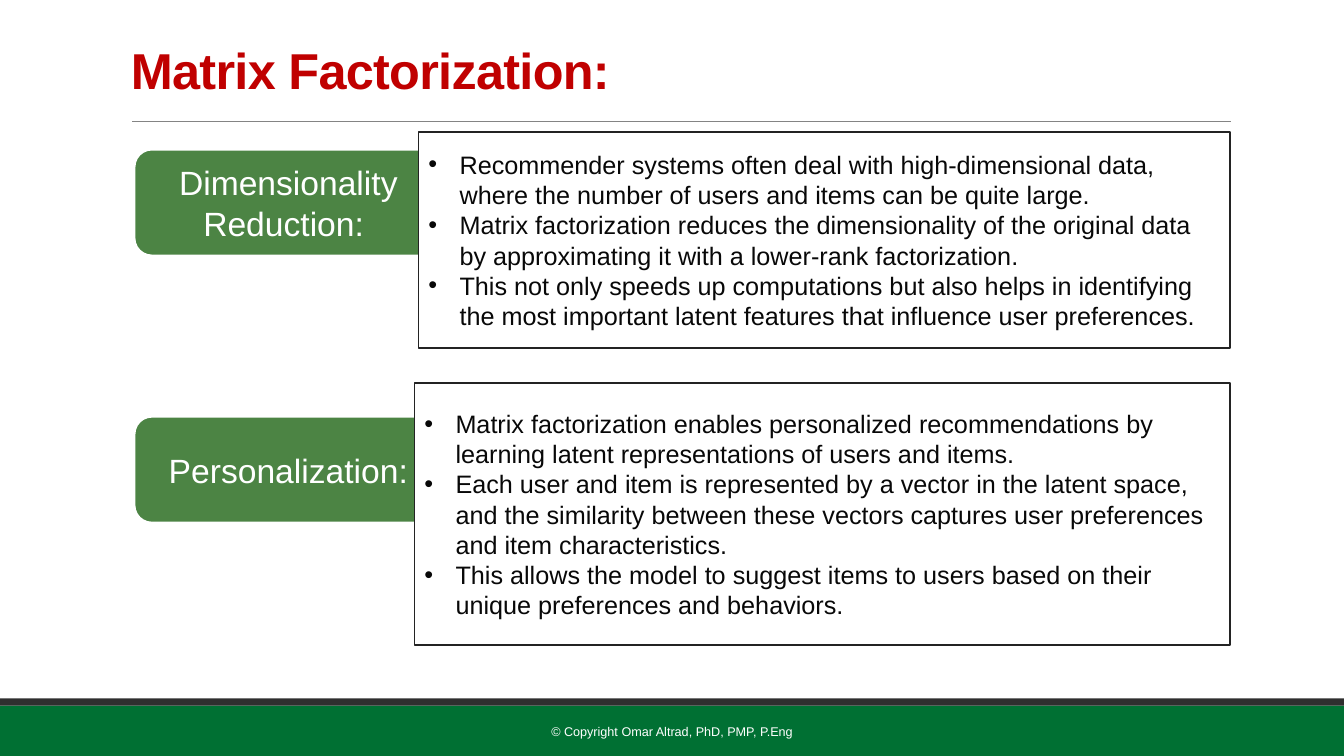
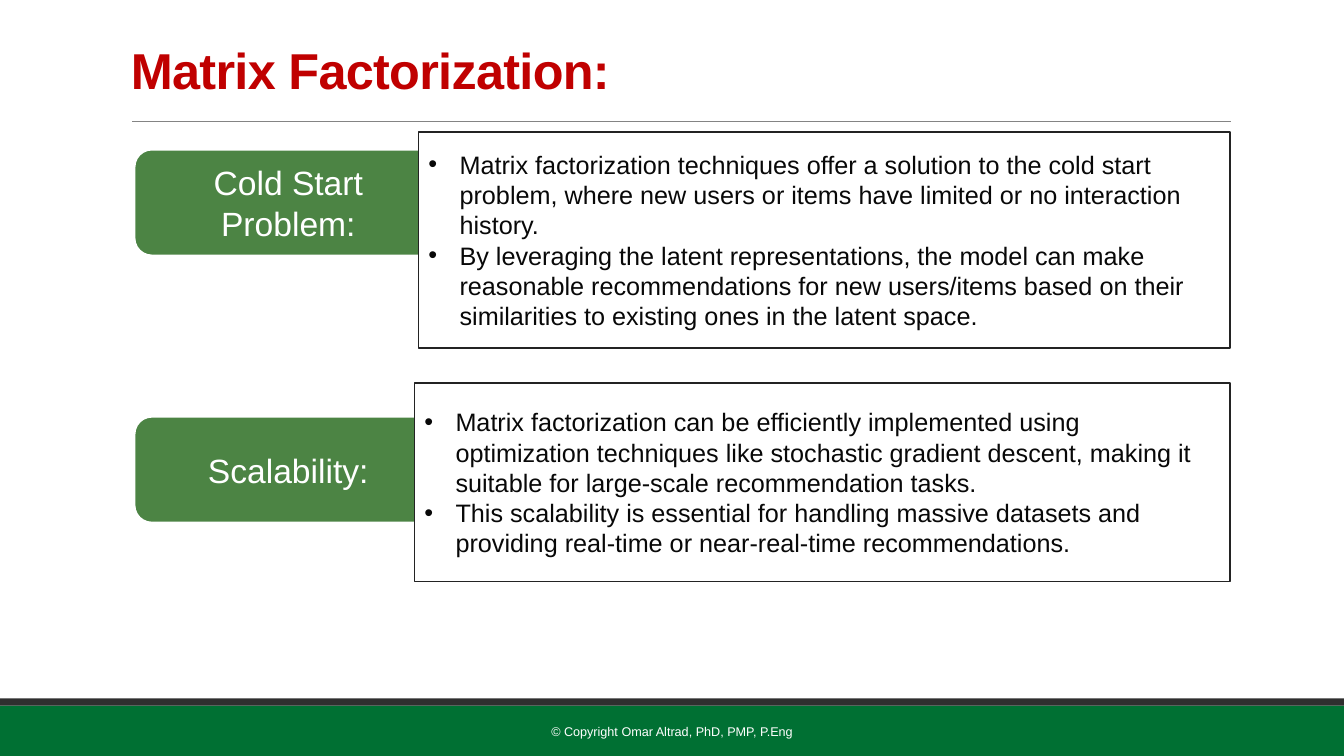
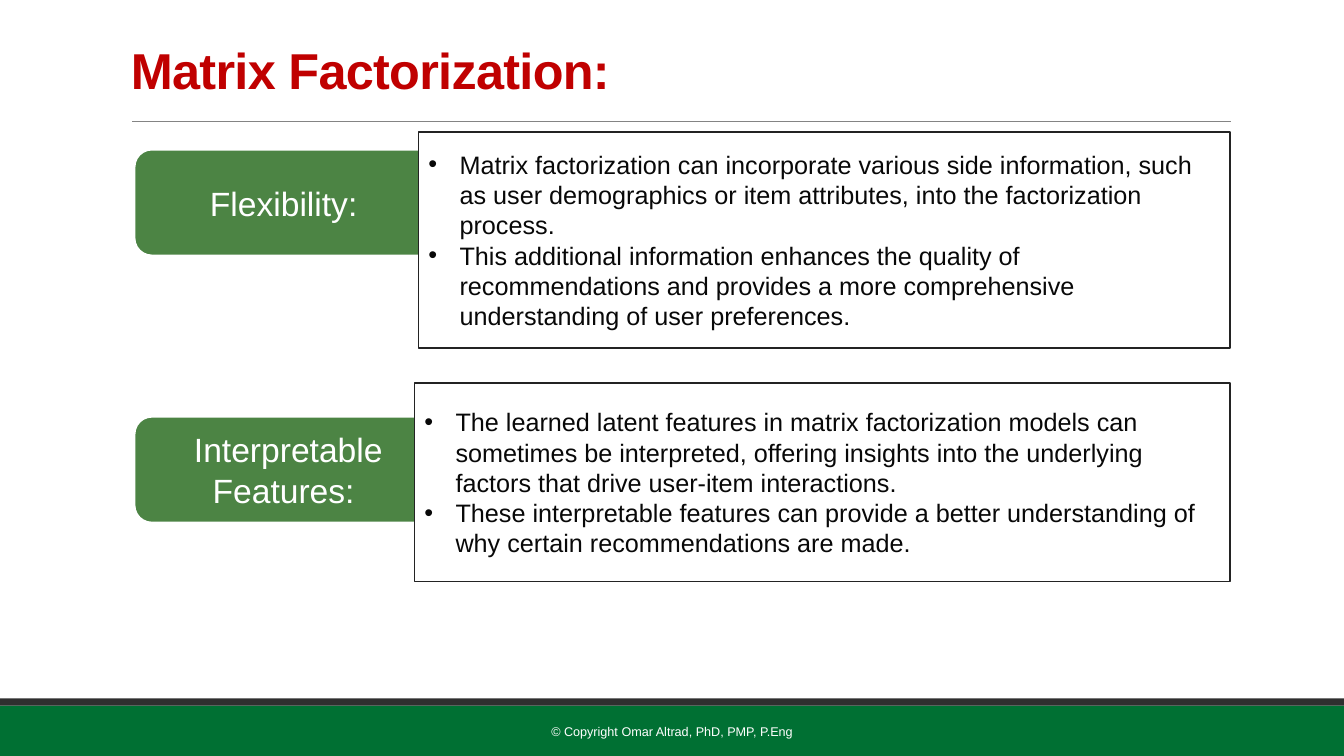
from dataclasses import dataclass

from lxml.etree import SubElement
from pptx import Presentation
from pptx.dml.color import RGBColor
from pptx.enum.shapes import MSO_CONNECTOR, MSO_SHAPE as Shp
from pptx.enum.text import MSO_ANCHOR, PP_ALIGN as Al
from pptx.oxml.ns import qn
from pptx.shapes.autoshape import Shape
from pptx.slide import Slide
from pptx.util import Inches, Pt

WHITE = RGBColor(0xFF, 0xFF, 0xFF)
RED = RGBColor(0xC0, 0x00, 0x00)
GREEN = RGBColor(0x00, 0x70, 0x33)
LABEL_GREEN = RGBColor(0x4C, 0x84, 0x44)
DARK = RGBColor(0x2F, 0x2F, 0x2F)
GREY = RGBColor(0x84, 0x84, 0x84)
BORDER = RGBColor(0x23, 0x23, 0x23)
INK = RGBColor(0x08, 0x08, 0x08)

FONT = "Arial"
TITLE = "Matrix Factorization:"
FOOTER = "© Copyright Omar Altrad, PhD, PMP, P.Eng"
SLIDE_W, SLIDE_H = 13.33, 7.5
RIGHT = 12.2
LABEL_X, LABEL_W, LABEL_H = 1.33, 3.06, 1.06
BULLET_INDENT = 0.31


@dataclass(frozen=True)
class Slot:
    """Place of one topic: its label top and its panel's left and top."""
    label_y: float
    panel_x: float
    panel_y: float


@dataclass(frozen=True)
class Topic:
    label: str
    points: tuple[str, ...]
    panel_h: float


SLOTS = (Slot(1.48, 4.15, 1.31), Slot(4.13, 4.11, 3.8))

SLIDES = (
    (
        Topic("Dimensionality Reduction: ", (
            "Recommender systems often deal with high-dimensional data, where the "
            "number of users and items can be quite large.",
            "Matrix factorization reduces the dimensionality of the original data by "
            "approximating it with a lower-rank factorization.",
            "This not only speeds up computations but also helps in identifying the "
            "most important latent features that influence user preferences.",
        ), 2.14),
        Topic("Personalization:", (
            "Matrix factorization enables personalized recommendations by learning "
            "latent representations of users and items.",
            "Each user and item is represented by a vector in the latent space, and "
            "the similarity between these vectors captures user preferences and item "
            "characteristics.",
            "This allows the model to suggest items to users based on their unique "
            "preferences and behaviors.",
        ), 2.6),
    ),
    (
        Topic("Cold Start Problem:", (
            "Matrix factorization techniques offer a solution to the cold start "
            "problem, where new users or items have limited or no interaction history.",
            "By leveraging the latent representations, the model can make reasonable "
            "recommendations for new users/items based on their similarities to "
            "existing ones in the latent space.",
        ), 2.14),
        Topic("Scalability:", (
            "Matrix factorization can be efficiently implemented using optimization "
            "techniques like stochastic gradient descent, making it suitable for "
            "large-scale recommendation tasks.",
            "This scalability is essential for handling massive datasets and "
            "providing real-time or near-real-time recommendations.",
        ), 1.97),
    ),
    (
        Topic("Flexibility: ", (
            "Matrix factorization can incorporate various side information, such as "
            "user demographics or item attributes, into the factorization process.",
            "This additional information enhances the quality of recommendations and "
            "provides a more comprehensive understanding of user preferences.",
        ), 2.14),
        Topic("Interpretable Features: ", (
            "The learned latent features in matrix factorization models can sometimes "
            "be interpreted, offering insights into the underlying factors that drive "
            "user-item interactions.",
            "These interpretable features can provide a better understanding of why "
            "certain recommendations are made.",
        ), 1.97),
    ),
)


def write(sp: Shape, *lines: str, size: float, color: RGBColor, bold: bool = False,
          align: Al = Al.LEFT, bullets: bool = False, line_spacing: float = 1.0,
          tracking: float = 0) -> None:
    """Fill a shape with one paragraph per line; tracking is in points."""
    tf = sp.text_frame
    tf.word_wrap = True
    tf.vertical_anchor = MSO_ANCHOR.MIDDLE
    for i, line in enumerate(lines):
        p = tf.add_paragraph() if i else tf.paragraphs[0]
        p.alignment = align
        p.line_spacing = line_spacing
        if bullets:
            pPr = p._p.get_or_add_pPr()
            pPr.set("marL", str(Inches(BULLET_INDENT)))
            pPr.set("indent", str(-Inches(BULLET_INDENT)))
            SubElement(pPr, qn("a:buFont"), typeface=FONT)
            SubElement(pPr, qn("a:buChar"), char="•")
        r = p.add_run()
        r.text = line
        r.font.name = FONT
        r.font.size = Pt(size)
        r.font.bold = bold
        r.font.color.rgb = color
        if tracking:
            r._r.get_or_add_rPr().set("spc", str(round(tracking * 100)))


def add_box(s: Slide, kind: Shp, x: float, y: float, w: float, h: float, fill: RGBColor,
            line: RGBColor | None = None, line_w: float = 1) -> Shape:
    sp = s.shapes.add_shape(kind, Inches(x), Inches(y), Inches(w), Inches(h))
    sp.shadow.inherit = False
    sp.fill.solid()
    sp.fill.fore_color.rgb = fill
    if line is None:
        sp.line.fill.background()
    else:
        sp.line.color.rgb = line
        sp.line.width = Pt(line_w)
    return sp


def add_textbox(s: Slide, x: float, y: float, w: float, h: float) -> Shape:
    return s.shapes.add_textbox(Inches(x), Inches(y), Inches(w), Inches(h))


def add_rule(s: Slide, x1: float, x2: float, y: float) -> None:
    rule = s.shapes.add_connector(MSO_CONNECTOR.STRAIGHT, Inches(x1), Inches(y),
                                  Inches(x2), Inches(y))
    rule.line.color.rgb = GREY
    rule.line.width = Pt(0.5)
    SubElement(rule._element.spPr, qn("a:effectLst"))


def add_frame(s: Slide) -> None:
    """Draw what every slide shares: bands, rule, title and footer."""
    add_box(s, Shp.RECTANGLE, 0, 7, SLIDE_W, 0.5, GREEN)
    add_box(s, Shp.RECTANGLE, 0, 6.93, SLIDE_W, 0.07, DARK)
    add_rule(s, 1.31, 12.21, 1.2)
    write(add_textbox(s, 1.2, 0.31, 11, 0.86), TITLE, size=36, color=RED, bold=True,
          line_spacing=0.85, tracking=-0.5)
    write(add_textbox(s, 4.03, 7.06, 5.27, 0.4), FOOTER, size=9, color=WHITE,
          align=Al.CENTER)


def add_topic(s: Slide, slot: Slot, topic: Topic) -> None:
    label = add_box(s, Shp.ROUNDED_RECTANGLE, LABEL_X, slot.label_y, LABEL_W, LABEL_H,
                    LABEL_GREEN, WHITE, 2)
    write(label, topic.label, size=24, color=WHITE, align=Al.CENTER)
    panel = add_box(s, Shp.RECTANGLE, slot.panel_x, slot.panel_y, RIGHT - slot.panel_x,
                    topic.panel_h, WHITE, BORDER, 1.25)
    write(panel, *topic.points, size=18, color=INK, bullets=True)


def main() -> None:
    prs = Presentation()
    prs.slide_width, prs.slide_height = Inches(SLIDE_W), Inches(SLIDE_H)
    blank = prs.slide_layouts[6]
    for topics in SLIDES:
        s = prs.slides.add_slide(blank)
        add_frame(s)
        for slot, topic in zip(SLOTS, topics):
            add_topic(s, slot, topic)
    prs.save("out.pptx")


if __name__ == "__main__":
    main()
